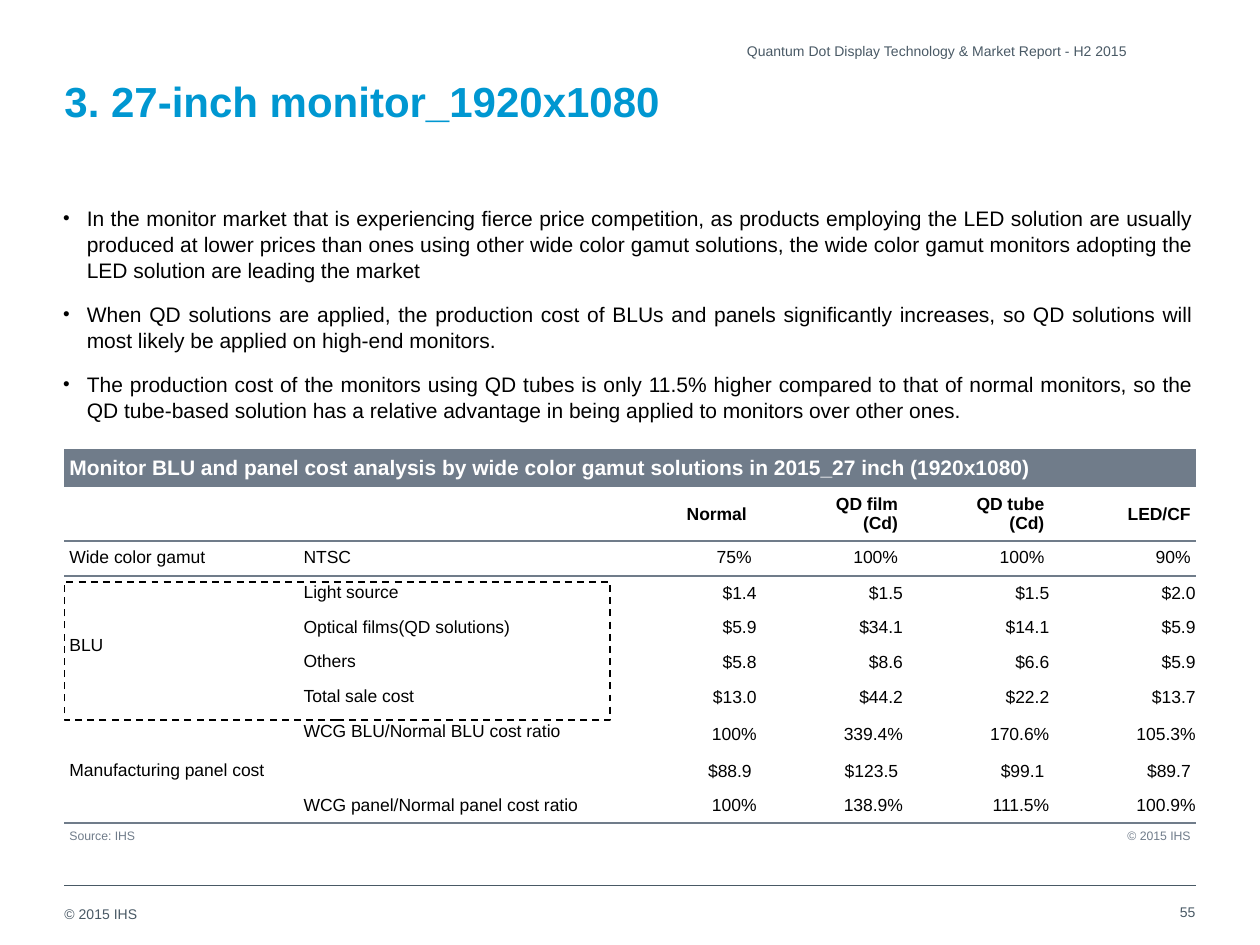
from dataclasses import dataclass

import pptx
import pptx.dml.color
import pptx.enum.dml
import pptx.enum.shapes
import pptx.enum.text
import pptx.oxml
import pptx.oxml.ns
import pptx.util

Cm = pptx.util.Cm
Pt = pptx.util.Pt
ALIGN = pptx.enum.text.PP_ALIGN
ANCHOR = pptx.enum.text.MSO_ANCHOR
FONT = "Arial"
COLORS = {"title": "0097D1", "muted": "495965", "band": "707C8A", "text": "000000", "white": "FFFFFF"}
NO_TABLE_STYLE = "{2D5ABB26-0587-4C30-8999-92F81FD0307C}"
LEFT, WIDTH = 1.3, 22.8
BULLETS = [
    "In the monitor market that is experiencing fierce price competition, as products employing the LED "
    "solution are usually produced at lower prices than ones using other wide color gamut solutions, the "
    "wide color gamut monitors adopting the LED solution are leading the market",
    "When QD solutions are applied, the production cost of BLUs and panels significantly increases, so QD "
    "solutions will most likely be applied on high-end monitors.",
    "The production cost of the monitors using QD tubes is only 11.5% higher compared to that of normal "
    "monitors, so the QD tube-based solution has a relative advantage in being applied to monitors over "
    "other ones.",
]
COLUMN_WIDTHS = [4.72, 6.28] + [2.95] * 4


@dataclass
class Box:
    left: float
    top: float
    width: float
    height: float

    def lengths(self) -> tuple:
        return Cm(self.left), Cm(self.top), Cm(self.width), Cm(self.height)


@dataclass
class Row:
    cells: list[str]
    height: float = 0.7
    size: float = 10
    color: str = "text"
    bold: bool = False
    label_anchor: ANCHOR = ANCHOR.TOP
    value_anchor: ANCHOR = ANCHOR.MIDDLE
    padded: bool = False
    underlined: bool = False
    filled: bool = False


ROWS = [
    Row(["Monitor BLU and panel cost analysis by wide color gamut solutions in 2015_27 inch (1920x1080)"]
        + [""] * 5, 0.77, 12, "white", True, ANCHOR.MIDDLE, filled=True),
    Row(["", "", "Normal ", "QD film\n(Cd)", "QD tube\n(Cd)", "LED/CF"], 1.09, bold=True,
        padded=True, underlined=True),
    Row(["Wide color gamut", "NTSC", "75%", "100%", "100%", "90%"], value_anchor=ANCHOR.TOP,
        padded=True, underlined=True),
    Row(["BLU", "Light source", "$1.4", "$1.5", "$1.5", "$2.0"]),
    Row(["", "Optical films(QD solutions)", "$5.9", "$34.1", "$14.1", "$5.9"]),
    Row(["", "Others", "$5.8", "$8.6", "$6.6", "$5.9"]),
    Row(["", "Total sale cost", "$13.0", "$44.2", "$22.2", "$13.7"]),
    Row(["", "WCG BLU/Normal BLU cost ratio", "100%", "339.4%", "170.6%", "105.3%"], 0.79),
    Row(["Manufacturing panel cost", "", "$88.9 ", "$123.5 ", "$99.1 ", "$89.7 "]),
    Row(["", "WCG panel/Normal panel cost ratio", "100%", "138.9%", "111.5%", "100.9%"], underlined=True),
    Row(["Source: IHS", "", "", "", "", "© 2015 IHS"], 0.41, 7, "band",
        label_anchor=ANCHOR.BOTTOM, value_anchor=ANCHOR.BOTTOM, padded=True),
]


def rgb(name: str) -> pptx.dml.color.RGBColor:
    return pptx.dml.color.RGBColor.from_string(COLORS[name])


def xml(markup: str):
    head, tail = markup.split(" ", 1)
    return pptx.oxml.parse_xml(f"{head} {pptx.oxml.ns.nsdecls('a')} {tail}")


def write(frame, text: str, *, size: float, color: str = "text", bold: bool = False,
          align: ALIGN = ALIGN.LEFT) -> None:
    """Fill a text frame, one paragraph per line of text."""
    frame.text = text
    for para in frame.paragraphs:
        para.alignment = align
        if not para.runs:
            para._p.append(xml(f'<a:endParaRPr sz="{size * 100}"/>'))
        for span in para.runs:
            span.font.name = FONT
            span.font.size = Pt(size)
            span.font.bold = bold
            span.font.color.rgb = rgb(color)


def set_margins(target, side: float, top: float, bottom: float) -> None:
    target.margin_left = target.margin_right = Cm(side)
    target.margin_top, target.margin_bottom = Cm(top), Cm(bottom)


def place(shape, box: Box, anchor: ANCHOR = ANCHOR.TOP) -> None:
    shape.left, shape.top, shape.width, shape.height = box.lengths()
    frame = shape.text_frame
    frame.word_wrap = True
    frame.auto_size = pptx.enum.text.MSO_AUTO_SIZE.NONE
    frame.vertical_anchor = anchor
    set_margins(frame, 0, 0, 0)


def add_label(page, text: str, box: Box, align: ALIGN, anchor: ANCHOR = ANCHOR.MIDDLE) -> None:
    label = page.shapes.add_textbox(*box.lengths())
    place(label, box, anchor)
    write(label.text_frame, text, size=8, color="muted", align=align)


def add_bullets(body) -> None:
    write(body.text_frame, "\n".join(BULLETS), size=12, align=ALIGN.JUSTIFY)
    for index, para in enumerate(body.text_frame.paragraphs):
        properties = para._p.get_or_add_pPr()
        properties.set("marL", str(Cm(0.48)))
        properties.set("indent", str(-Cm(0.48)))
        for markup in ('<a:buSzPct val="90000"/>', f'<a:buFont typeface="{FONT}"/>', '<a:buChar char="•"/>'):
            properties.append(xml(markup))
        para.line_spacing = 1.04
        para.space_before = Pt(6 if index else 0)
        para.space_after = Pt(4)


def format_cell(cell, row: Row, column: int) -> None:
    is_value = column > 1
    write(cell.text_frame, row.cells[column], size=row.size, color=row.color, bold=row.bold,
          align=ALIGN.RIGHT if is_value else ALIGN.LEFT)
    cell.vertical_anchor = row.value_anchor if is_value else row.label_anchor
    if row.size == 7:
        set_margins(cell, 0.1, 0.1, 0)
    elif row.cells[column] and (row.padded or not is_value):
        set_margins(cell, 0.1, 0.14, 0.14)
    else:
        set_margins(cell, 0, 0, 0)
    if row.filled:
        cell.fill.solid()
        cell.fill.fore_color.rgb = rgb("band")
    else:
        cell.fill.background()
    if row.underlined:
        cell._tc.get_or_add_tcPr().insert(0, xml(
            f'<a:lnB w="{Pt(1)}"><a:solidFill><a:srgbClr val="{COLORS["band"]}"/></a:solidFill></a:lnB>'))


def add_cost_table(page) -> None:
    box = Box(LEFT, 9.05, WIDTH, sum(row.height for row in ROWS))
    table = page.shapes.add_table(len(ROWS), len(COLUMN_WIDTHS), *box.lengths()).table
    table.first_row = table.horz_banding = False
    table._tbl.tblPr.find(pptx.oxml.ns.qn("a:tableStyleId")).text = NO_TABLE_STYLE
    for column, width in enumerate(COLUMN_WIDTHS):
        table.columns[column].width = Cm(width)
    for index, row in enumerate(ROWS):
        table.rows[index].height = Cm(row.height)
        for column in range(len(COLUMN_WIDTHS)):
            format_cell(table.cell(index, column), row, column)
    table.cell(0, 0).merge(table.cell(0, 5))
    table.cell(3, 0).merge(table.cell(6, 0))
    table.cell(3, 0).vertical_anchor = ANCHOR.MIDDLE
    table.cell(10, 0).merge(table.cell(10, 4))


def add_footer_rule(page) -> None:
    rule = page.shapes.add_connector(pptx.enum.shapes.MSO_CONNECTOR.STRAIGHT,
                                     Cm(LEFT), Cm(17.85), Cm(LEFT + WIDTH), Cm(17.85))
    rule.line.color.rgb = rgb("muted")
    rule.line.width = Pt(0.5)
    rule._element.spPr.append(xml("<a:effectLst />"))


def add_dashed_frame(page, box: Box) -> None:
    frame = page.shapes.add_shape(pptx.enum.shapes.MSO_SHAPE.RECTANGLE, *box.lengths())
    frame.shadow.inherit = False
    frame.fill.background()
    frame.line.color.rgb = rgb("text")
    frame.line.width = Pt(1)
    frame.line.dash_style = pptx.enum.dml.MSO_LINE.DASH


def main() -> None:
    deck = pptx.Presentation()
    deck.slide_width, deck.slide_height = Cm(25.4), Cm(19.05)
    page = deck.slides.add_slide(deck.slide_layouts[1])
    title, body = page.placeholders
    add_label(page, "© 2015 IHS", Box(LEFT, 18.26, 3, 0.34), ALIGN.LEFT, ANCHOR.TOP)
    add_footer_rule(page)
    place(title, Box(LEFT, 1.52, WIDTH, 2.21))
    write(title.text_frame, "3. 27-inch monitor_1920x1080", size=24, color="title", bold=True)
    add_label(page, "55", Box(22.5, 18.08, 1.6, 0.61), ALIGN.RIGHT)
    add_label(page, "Quantum Dot Display Technology & Market Report - H2 2015",
              Box(LEFT, 0.76, 21.43, 0.53), ALIGN.RIGHT)
    place(body, Box(1.27, 4.12, WIDTH, 4.8))
    add_bullets(body)
    add_cost_table(page)
    add_dashed_frame(page, Box(LEFT, 11.73, 11, 2.79))
    deck.save("out.pptx")


if __name__ == "__main__":
    main()
